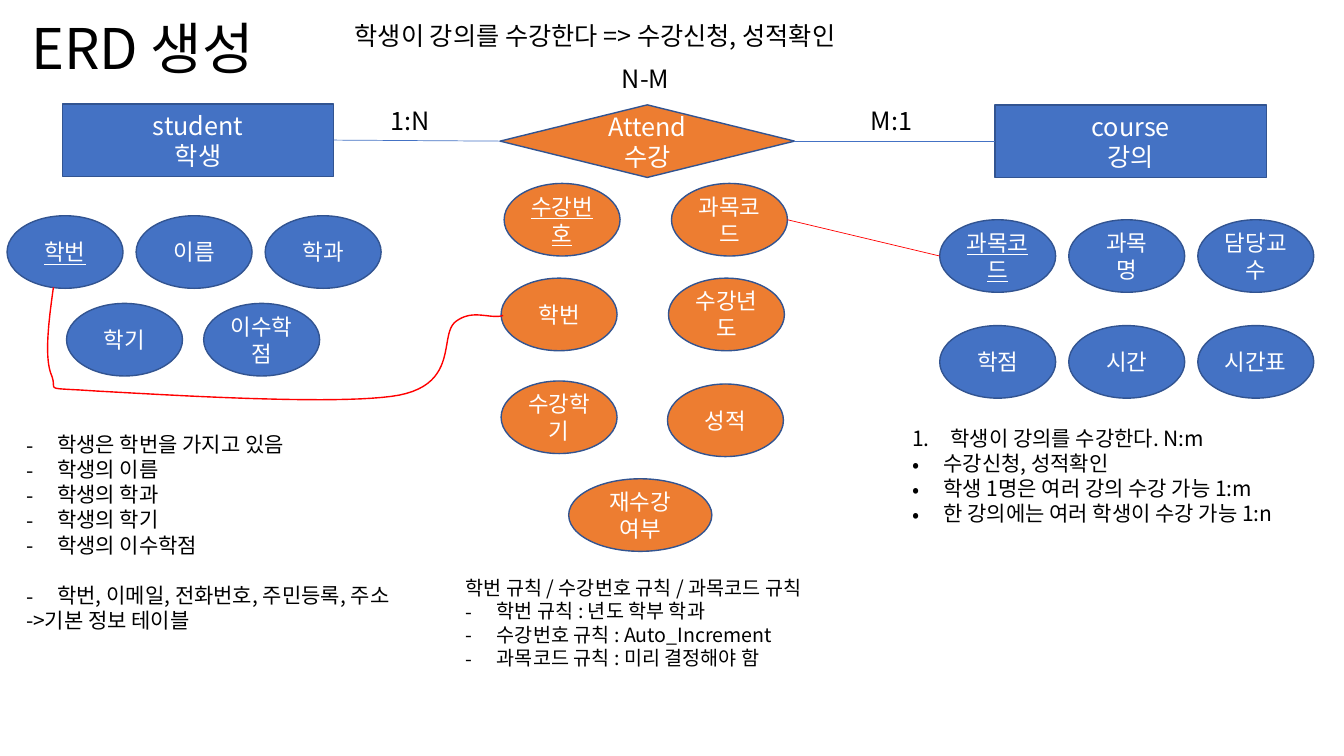
from dataclasses import dataclass

from lxml.etree import SubElement
from pptx import Presentation
from pptx.dml.color import RGBColor
from pptx.enum.shapes import MSO_CONNECTOR, MSO_SHAPE as SHAPE
from pptx.enum.text import MSO_ANCHOR, PP_ALIGN as ALIGN
from pptx.oxml.ns import qn
from pptx.util import Inches, Pt


@dataclass(frozen=True)
class Theme:
    font: str = "Noto Sans CJK KR"
    blue: RGBColor = RGBColor(0x44, 0x72, 0xC4)
    orange: RGBColor = RGBColor(0xED, 0x7D, 0x31)
    outline: RGBColor = RGBColor(0x32, 0x54, 0x91)
    red: RGBColor = RGBColor(0xFF, 0, 0)
    black: RGBColor = RGBColor(0, 0, 0)
    white: RGBColor = RGBColor(0xFF, 0xFF, 0xFF)
    title: int = 40
    entity: int = 18
    attribute: int = 16
    note: int = 15
    rule: int = 14


theme = Theme()


def write(frame, lines, size, color=theme.black, align=ALIGN.LEFT):
    """Fill a text frame; each line is a string or a (bullet, string) pair."""
    frame.word_wrap = True
    for i, line in enumerate(lines):
        bullet, text = line if isinstance(line, tuple) else (None, line)
        paragraph = frame.paragraphs[0] if i == 0 else frame.add_paragraph()
        paragraph.text = text
        paragraph.alignment = align
        if bullet:
            props = paragraph._p.get_or_add_pPr()
            indent = Inches(0.38 if bullet == "1." else 0.31)
            props.set("marL", str(indent))
            props.set("indent", str(-indent))
            SubElement(props, qn("a:buFont"), typeface=theme.font)
            if bullet == "1.":
                SubElement(props, qn("a:buAutoNum"), type="arabicPeriod")
            else:
                SubElement(props, qn("a:buChar"), char=bullet)
        font = paragraph.font
        font.size = Pt(size)
        font.color.rgb = color
        font.name = theme.font
        defaults = paragraph._p.pPr.find(qn("a:defRPr"))
        SubElement(defaults, qn("a:ea"), typeface=theme.font)


def add_node(kind, left, top, width, fill, lines, size):
    """Add a filled entity, relationship or attribute."""
    node = slide.shapes.add_shape(
        kind, Inches(left), Inches(top), Inches(width), Inches(0.72))
    node.shadow.inherit = False
    node.fill.solid()
    node.fill.fore_color.rgb = fill
    node.line.color.rgb = theme.outline
    node.line.width = Pt(1)
    node.text_frame.vertical_anchor = MSO_ANCHOR.MIDDLE
    write(node.text_frame, lines, size, theme.white, ALIGN.CENTER)
    return node


deck = Presentation()
deck.slide_width, deck.slide_height = Inches(13.33), Inches(7.5)
slide = deck.slides.add_slide(deck.slide_layouts[5])

# Title
title = slide.shapes.title
title.left, title.top = Inches(0.21), Inches(-0.01)
title.width, title.height = Inches(2.69), Inches(1.04)
title.text_frame.vertical_anchor = MSO_ANCHOR.MIDDLE
write(title.text_frame, ["ERD 생성"], theme.title)
title.text_frame.paragraphs[0].line_spacing = 0.9

# Entities and their relationship
student = add_node(SHAPE.RECTANGLE, 0.62, 1.03, 2.69, theme.blue,
                   ["student", "학생"], theme.entity)
course = add_node(SHAPE.RECTANGLE, 9.87, 1.04, 2.69, theme.blue,
                  ["course", "강의"], theme.entity)
attend = add_node(SHAPE.FLOWCHART_DECISION, 4.96, 1.04, 2.92, theme.orange,
                  ["Attend", "수강"], theme.entity)

# Attributes: left, top, pitch, fill, labels
attribute_rows = [
    (0.07, 2.14, 1.28, theme.blue, ["학번", "이름", "학과"]),
    (0.66, 3.01, 1.36, theme.blue, ["학기", "이수학점"]),
    (9.32, 2.18, 1.28, theme.blue, ["과목코드", "과목 명", "담당교수"]),
    (9.32, 3.23, 1.28, theme.blue, ["학점", "시간", "시간표"]),
    (5.00, 1.82, 1.66, theme.orange, ["수강번호", "과목코드"]),
    (4.97, 2.76, 1.66, theme.orange, ["학번", "수강년도"]),
    (4.97, 3.78, 0, theme.orange, ["수강학기"]),
    (6.62, 3.81, 0, theme.orange, ["성적"]),
]
primary_keys = [(theme.blue, "학번"), (theme.blue, "과목코드"),
                (theme.orange, "수강번호")]
for left, top, pitch, fill, labels in attribute_rows:
    for column, label in enumerate(labels):
        attribute = add_node(SHAPE.OVAL, left + column * pitch, top, 1.15,
                             fill, [label], theme.attribute)
        if (fill, label) in primary_keys:
            attribute.text_frame.paragraphs[0].font.underline = True
add_node(SHAPE.OVAL, 5.64, 4.75, 1.42, theme.orange,
         ["재수강", "여부"], theme.attribute)

# Straight links: two relationship lines and the course code reference
student_link, course_link, code_link = links = [
    slide.shapes.add_connector(
        MSO_CONNECTOR.STRAIGHT, Inches(7.81), Inches(2.18),
        Inches(9.32), Inches(2.54))
    for _ in range(3)]
student_link.begin_connect(student, 3)
student_link.end_connect(attend, 1)
course_link.begin_connect(attend, 3)
course_link.end_connect(course, 1)
for link in links:
    link.line.color.rgb = theme.red if link is code_link else theme.blue
    link.line.width = Pt(0.5)
    SubElement(link._element.spPr, qn("a:effectLst"))

# Curved student number reference, sampled from Bezier segments
start = (0.53, 2.85)
segments = [
    ((0.48, 3.20), (0.44, 3.55), (0.51, 3.72)),
    ((0.58, 3.89), (0.39, 3.84), (0.96, 3.88)),
    ((1.54, 3.91), (3.37, 4.03), (3.96, 3.92)),
    ((4.56, 3.80), (4.35, 3.32), (4.52, 3.19)),
    ((4.69, 3.06), (4.86, 3.17), (4.99, 3.13)),
]
steps = 24
curve_points = []
pen = start
for bend_out, bend_in, end in segments:
    for t in (step / steps for step in range(1, steps + 1)):
        curve_points.append(tuple(
            Inches((1 - t) ** 3 * a + 3 * (1 - t) ** 2 * t * b
                   + 3 * (1 - t) * t ** 2 * c + t ** 3 * d)
            for a, b, c, d in zip(pen, bend_out, bend_in, end)))
    pen = end
outline = slide.shapes.build_freeform(Inches(start[0]), Inches(start[1]))
outline.add_line_segments(curve_points, close=False)
number_link = outline.convert_to_shape()
number_link.shadow.inherit = False
number_link.fill.background()
number_link.line.color.rgb = theme.red
number_link.line.width = Pt(1)

# Cardinalities, summary and notes: left, top, width, height, size, lines
texts = [
    (3.78, 1.00, 1.1, 0.4, theme.entity, ["1:N"]),
    (8.54, 1.00, 1.1, 0.4, theme.entity, ["M:1"]),
    (6.07, 0.58, 1.1, 0.4, theme.entity, ["N-M"]),
    (3.42, 0.15, 7.13, 0.4, theme.entity,
     ["학생이 강의를 수강한다 => 수강신청, 성적확인"]),
    (8.95, 4.17, 4.28, 1.11, theme.note,
     [("1.", "학생이 강의를 수강한다. N:m"),
      ("•", "수강신청, 성적확인"),
      ("•", "학생 1명은 여러 강의 수강 가능 1:m"),
      ("•", "한 강의에는 여러 학생이 수강 가능 1:n")]),
    (4.52, 5.66, 4.28, 1.04, theme.rule,
     ["학번 규칙 / 수강번호 규칙 / 과목코드 규칙",
      ("-", "학번 규칙 : 년도 학부 학과"),
      ("-", "수강번호 규칙 : Auto_Increment"),
      ("-", "과목코드 규칙 : 미리 결정해야 함")]),
    (0.16, 4.23, 4.28, 2.37, theme.note,
     [("-", "학생은 학번을 가지고 있음"),
      ("-", "학생의 이름"),
      ("-", "학생의 학과"),
      ("-", "학생의 학기"),
      ("-", "학생의 이수학점"),
      ("-", "학번, 이메일, 전화번호, 주민등록, 주소"),
      "->기본 정보 테이블"]),
]
for left, top, width, height, size, lines in texts:
    note = slide.shapes.add_textbox(
        Inches(left), Inches(top), Inches(width), Inches(height))
    write(note.text_frame, lines, size)
# The last box sets its basic information apart from the student notes
note.text_frame.paragraphs[5].space_before = Pt(18)

deck.save("out.pptx")
